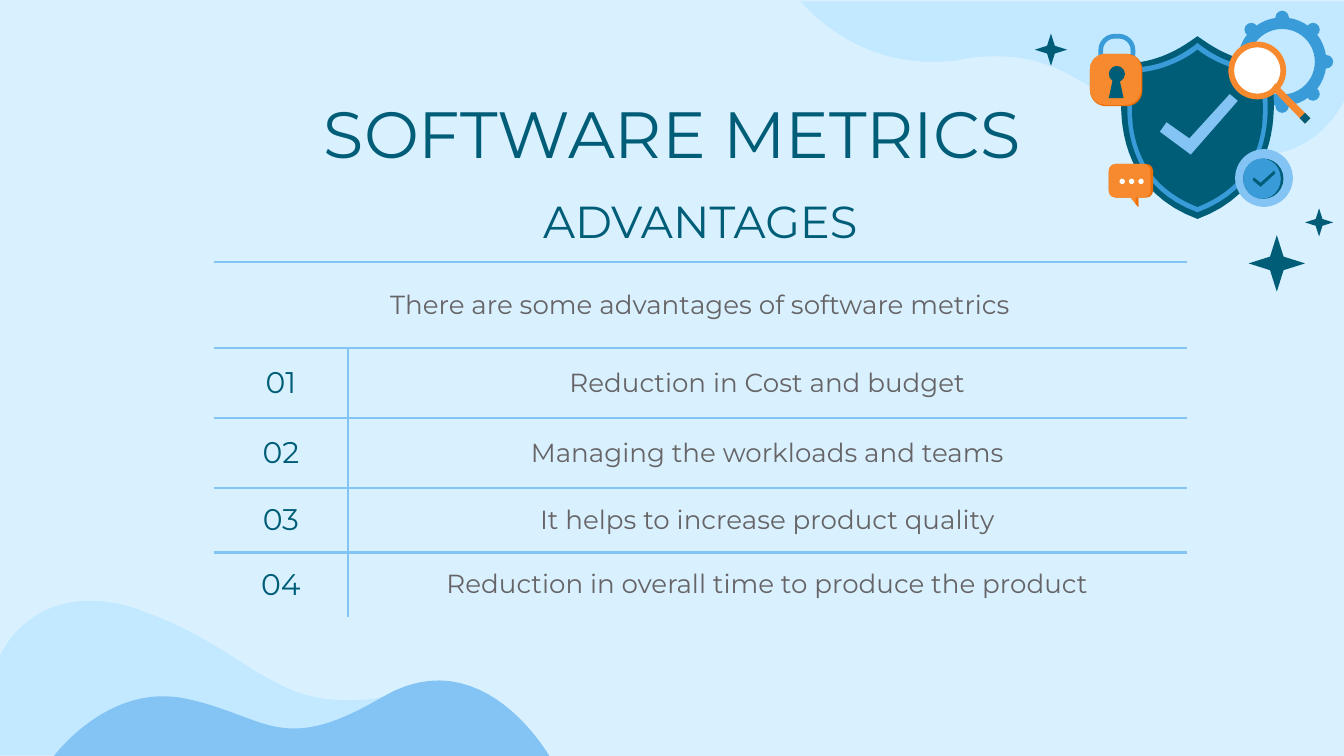
from lxml import etree
from pptx import Presentation
from pptx.dml.color import RGBColor
from pptx.enum.shapes import MSO_SHAPE as SHAPE
from pptx.enum.text import MSO_ANCHOR as ANCHOR, PP_ALIGN as ALIGN
from pptx.oxml.ns import qn
from pptx.util import Inches, Pt

FONT = "Montserrat"
PALE = RGBColor(0xD9, 0xF1, 0xFF)
MIST = RGBColor(0xC2, 0xE9, 0xFF)
SKY = RGBColor(0x84, 0xC4, 0xF4)
BLUE = RGBColor(0x39, 0x9B, 0xD8)
TEAL = RGBColor(0x00, 0x5D, 0x77)
ORANGE = RGBColor(0xF7, 0x8A, 0x2F)
RUST = RGBColor(0xEC, 0x6F, 0x09)
WHITE = RGBColor(0xFF, 0xFF, 0xFF)
GRAY = RGBColor(0x66, 0x64, 0x66)

# Content
TITLE = "SOFTWARE METRICS"
HEAD = "ADVANTAGES"
INTRO = "There are some advantages of software metrics"
ITEMS = [
    "Reduction in Cost and budget",
    "Managing the workloads and teams",
    "It helps to increase product quality",
    "Reduction in overall time to produce the product",
]
COLS = [1, 6.24]
ROWS = [0.57, 0.64, 0.52, 0.52, 0.48, 0.48]

# Outlines: a pair is a line to that point, six numbers are a Bezier curve
WAVE = [(0, 5.62), (0, 4.88), (0, 4.88, 0.17, 4.47, 0.67, 4.47),
        (0.78, 4.47, 0.92, 4.49, 1.07, 4.55), (1.79, 4.81, 2, 5.21, 2.57, 5.21),
        (2.65, 5.21, 2.73, 5.21, 2.83, 5.19), (2.91, 5.17, 2.99, 5.17, 3.07, 5.17),
        (3.69, 5.17, 4.04, 5.62, 4.04, 5.62)]
HILL = [(0.39, 5.64), (0.39, 5.64, 0.8, 5.07, 1.39, 5.2),
        (1.99, 5.33, 2.09, 5.63, 2.84, 5.19), (3.59, 4.74, 4.09, 5.63, 4.09, 5.63)]
MID = 8.91  # axis of the shield; each entry is its left half
SHIELD = [
    (TEAL, [(MID, 0.27), (8.85, 0.31, 8.65, 0.47, 8.38, 0.47),
            (8.38, 0.47, 8.13, 1.34, MID, 1.63)]),
    (BLUE, [(MID, 0.32), (8.85, 0.37, 8.67, 0.5, 8.44, 0.5), (8.42, 0.52),
            (8.42, 0.53, 8.2, 1.32, MID, 1.58)]),
    (TEAL, [(MID, 0.37), (8.85, 0.42, 8.67, 0.53, 8.46, 0.54),
            (8.44, 0.59, 8.41, 0.75, 8.43, 0.94), (8.47, 1.23, 8.63, 1.43, MID, 1.54)]),
]
TICK = [(9.15, 0.7), (8.85, 1.03), (8.68, 0.91), (8.63, 0.98), (8.86, 1.15), (9.21, 0.75)]
STARS = [(9.29, 1.75, 0.42), (7.7, 0.25, 0.24), (9.71, 1.55, 0.21)]

deck = Presentation()
deck.slide_width = Inches(10)
deck.slide_height = deck.slide_width * 9 // 16
slide = deck.slides.add_slide(deck.slide_layouts[6])
slide.background.fill.solid()
slide.background.fill.fore_color.rgb = PALE
shapes = slide.shapes


def paint(shape, color):
    shape.shadow.inherit = False
    shape.fill.solid()
    shape.fill.fore_color.rgb = color
    shape.line.fill.background()
    return shape


def draw(kind, color, x, y, w, h, adj=None):
    shape = shapes.add_shape(kind, Inches(x), Inches(y), Inches(w), Inches(h))
    if adj is not None:
        shape.adjustments[0] = adj
    return paint(shape, color)


def trace(path, steps=24):
    """Turn an outline into a list of points."""
    pts = [path[0]]
    for seg in path[1:]:
        if len(seg) == 2:
            pts.append(seg)
            continue
        ctrl = [pts[-1], seg[:2], seg[2:4], seg[4:]]
        for i in range(1, steps + 1):
            t = i / steps
            mix = [(1 - t) ** 3, 3 * t * (1 - t) ** 2, 3 * t * t * (1 - t), t ** 3]
            pts.append(tuple(sum(m * p[k] for m, p in zip(mix, ctrl)) for k in (0, 1)))
    return pts


def outline(pts, color):
    spots = [(Inches(x), Inches(y)) for x, y in pts]
    form = shapes.build_freeform(*spots[0])
    form.add_line_segments(spots[1:], close=True)
    return paint(form.convert_to_shape(), color)


def write(frame, text, size, color):
    para = frame.paragraphs[0]
    para.alignment = ALIGN.CENTER
    run = para.add_run()
    run.text = text
    run.font.name, run.font.size = FONT, Pt(size)
    run.font.color.rgb = color


# Background waves
wave = trace(WAVE)
outline(wave, MIST)
outline([(10 - x, 5.63 - y) for x, y in wave], MIST)
outline(trace(HILL), SKY)

# Title
box = shapes.add_textbox(Inches(0.79), Inches(0.59), Inches(8.43), Inches(0.74))
frame = box.text_frame
frame.word_wrap = True
frame.margin_top = frame.margin_bottom = Inches(0.1)
write(frame, TITLE, 35, TEAL)

# Table
table = shapes.add_table(len(ROWS), len(COLS), Inches(1.59), Inches(1.35),
                         Inches(sum(COLS)), Inches(sum(ROWS))).table
table.first_row = table.horz_banding = False
for col, width in zip(table.columns, COLS):
    col.width = Inches(width)
for row, height in zip(table.rows, ROWS):
    row.height = Inches(height)


def edge(cell, sides):
    """Rule the named sides and clear the others."""
    props = cell._tc.get_or_add_tcPr()
    for side in "LRTB":
        line = etree.SubElement(props, qn("a:ln" + side), w=str(Pt(1.5)))
        if side in sides:
            fill = etree.SubElement(line, qn("a:solidFill"))
            etree.SubElement(fill, qn("a:srgbClr"), val=str(SKY))
        else:
            etree.SubElement(line, qn("a:noFill"))


last = len(ROWS) - 1
for r in range(len(ROWS)):
    for c in range(len(COLS)):
        cell = table.cell(r, c)
        sides = ("T" if r > 0 else "") + ("B" if r < last else "")
        if r > 1:
            sides += "RL"[c]
        edge(cell, sides)
        cell.fill.background()
        cell.vertical_anchor = ANCHOR.MIDDLE
        cell.margin_top = cell.margin_bottom = Inches(0.1)
for r, (text, size, color) in enumerate([(HEAD, 24, TEAL), (INTRO, 14, GRAY)]):
    table.cell(r, 0).merge(table.cell(r, 1))
    write(table.cell(r, 0).text_frame, text, size, color)
for n, text in enumerate(ITEMS, 1):
    write(table.cell(n + 1, 0).text_frame, f"{n:02}", 16, TEAL)
    write(table.cell(n + 1, 1).text_frame, text, 14, GRAY)

# Gear: a ring with eight round teeth
draw(SHAPE.DONUT, BLUE, 9.21, 0.13, 0.66, 0.66, 0.13)
for dx, dy in [(0, 0.33), (0.23, 0.24), (0.33, 0), (0.23, -0.24)]:
    for sign in (1, -1):
        draw(SHAPE.OVAL, BLUE, 9.49 + sign * dx, 0.41 + sign * dy, 0.1, 0.1)

# Shield
for color, half in SHIELD:
    left = trace(half)
    right = [(2 * MID - x, y) for x, y in reversed(left[1:-1])]
    outline(left + right, color)
outline(TICK, SKY)

# Magnifier
draw(SHAPE.OVAL, WHITE, 9.17, 0.34, 0.37, 0.37)
draw(SHAPE.DONUT, ORANGE, 9.14, 0.31, 0.43, 0.43, 0.1)
outline([(9.49, 0.62), (9.46, 0.66), (9.71, 0.92), (9.75, 0.88)], ORANGE)
draw(SHAPE.DIAMOND, TEAL, 9.67, 0.84, 0.08, 0.08)

# Speech bubble
for color, width in [(RUST, 0.33), (ORANGE, 0.31)]:
    draw(SHAPE.ROUNDED_RECTANGLE, color, 8.25, 1.22, width, 0.25, 0.2)
outline([(8.41, 1.47), (8.47, 1.54), (8.47, 1.47)], ORANGE)
outline([(8.45, 1.47), (8.45, 1.52), (8.47, 1.54), (8.47, 1.47)], RUST)
for i in range(3):
    draw(SHAPE.OVAL, WHITE, 8.33 + 0.07 * i, 1.33, 0.04, 0.04)

# Badge
draw(SHAPE.OVAL, SKY, 9.19, 1.11, 0.43, 0.43)
for color, width in [(TEAL, 0.3), (BLUE, 0.28)]:
    draw(SHAPE.OVAL, color, 9.25, 1.18, width, 0.3)
outline([(9.48, 1.27), (9.38, 1.36), (9.33, 1.32), (9.32, 1.34), (9.38, 1.39), (9.49, 1.29)], TEAL)

# Padlock
loop = draw(SHAPE.ROUNDED_RECTANGLE, BLUE, 8.19, 0.27, 0.24, 0.23, 0.45)
loop.fill.background()
loop.line.color.rgb, loop.line.width = BLUE, Pt(2.5)
for color, size in [(RUST, 0.39), (ORANGE, 0.38)]:
    draw(SHAPE.ROUNDED_RECTANGLE, color, 8.11, 0.4, size, size, 0.3)
draw(SHAPE.OVAL, TEAL, 8.25, 0.49, 0.12, 0.12)
draw(SHAPE.TRAPEZOID, TEAL, 8.25, 0.59, 0.11, 0.14, 0.27)

# Sparkles
for x, y, size in STARS:
    draw(SHAPE.STAR_4_POINT, TEAL, x, y, size, size, 0.17)

deck.save("out.pptx")
